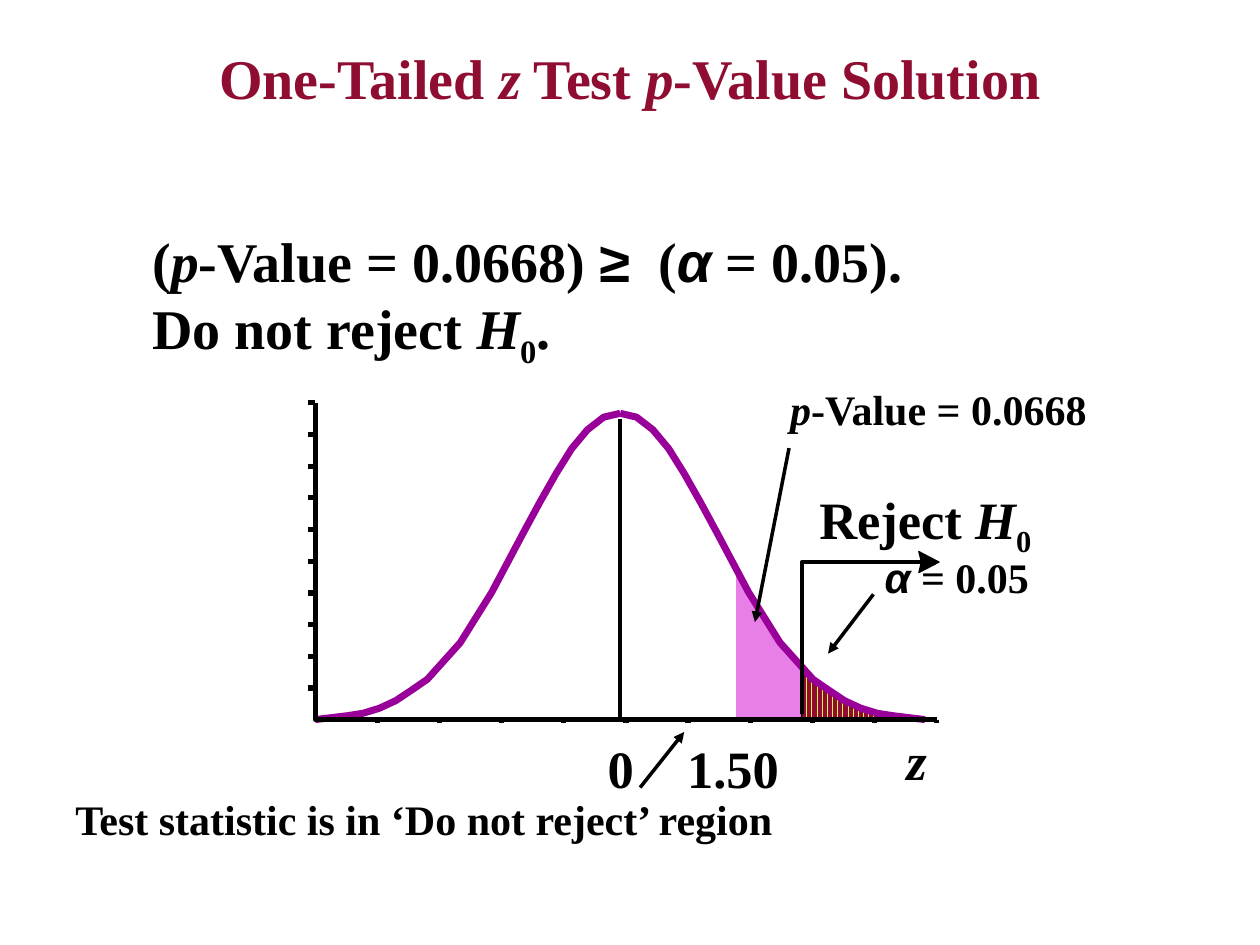
from lxml.etree import SubElement
from pptx import Presentation
from pptx.dml.color import RGBColor
from pptx.enum.dml import MSO_PATTERN
from pptx.enum.shapes import MSO_CONNECTOR
from pptx.enum.text import MSO_ANCHOR, MSO_AUTO_SIZE, PP_ALIGN
from pptx.oxml.ns import qn
from pptx.util import Pt

SERIF, SANS = "Times New Roman", "Arial"
BLACK, MAROON, PURPLE, PINK, YELLOW = "000000", "8E0D30", "990099", "D200D2", "E9F05A"
HALF_CURVE = [(174.2, 0), (156, 2.2), (146.9, 3.6), (137.5, 6.5), (128.2, 10.8),
              (119.5, 16.6), (110.2, 23), (91.4, 43.9), (73.4, 72.7), (55.4, 106.6),
              (46.1, 123.8), (36.7, 140.4), (27.7, 154.8), (18.7, 165.6),
              (9.4, 172.8), (0, 175)]
P_VALUE_AREA = [(66.2, 87.1), (66.2, 0.7), (148.3, 0.7), (138.2, 5), (128.9, 10.8),
                (119.5, 16.6), (110.9, 23.8), (103, 31), (95, 38.9), (87.8, 47.5),
                (81.4, 56.9), (75.6, 66.2), (70.6, 77)]
REJECT_AREA = [(103.7, 28), (103.7, 0.7), (149.8, 0.7), (121, 14.4)]


def color(value):
    """Return the RGB colour for a hex string."""
    return RGBColor.from_string(value)


def add_runs(p, runs, size, fill=BLACK):
    """Write (text, flags) runs; flags are i italic, a Arial, s subscript."""
    p.font.size, p.font.bold, p.font.name = Pt(size), True, SERIF
    p.font.color.rgb = color(fill)
    for text, flags in runs:
        if text == "\n":
            p.add_line_break()
            continue
        r = p.add_run()
        r.text = text
        if "i" in flags:
            r.font.italic = True
        if "a" in flags:
            r.font.name = SANS
        if "s" in flags:
            r.font._element.set("baseline", "-25000")


def add_text(s, box, runs, size, inset=True, before=0):
    """Add a text box, either wrapped with insets or tight around its text."""
    tf = s.shapes.add_textbox(*map(Pt, box)).text_frame
    tf.word_wrap = inset
    tf.auto_size = MSO_AUTO_SIZE.SHAPE_TO_FIT_TEXT
    if not inset:
        tf.margin_left = tf.margin_right = tf.margin_top = tf.margin_bottom = 0
    p = tf.paragraphs[0]
    p.space_before = Pt(before)
    add_runs(p, runs, size)


def add_line(s, start, end, width, arrow=False):
    """Add a straight black line with an optional arrowhead at its end."""
    line = s.shapes.add_connector(MSO_CONNECTOR.STRAIGHT, *map(Pt, (*start, *end)))
    line.line.color.rgb = color(BLACK)
    line.line.width = Pt(width)
    if arrow:
        SubElement(line.line._get_or_add_ln(), qn("a:tailEnd"), type="triangle")
    SubElement(line._element.spPr, qn("a:effectLst"))


def add_outline(s, points, stroke=None, width=0, close=False):
    """Add an unfilled polyline or polygon through the points."""
    first, *rest = [(Pt(x), Pt(y)) for x, y in points]
    builder = s.shapes.build_freeform(*first)
    builder.add_line_segments(rest, close=close)
    sp = builder.convert_to_shape()
    sp.shadow.inherit = False
    sp.fill.background()
    if stroke:
        sp.line.color.rgb = color(stroke)
        sp.line.width = Pt(width)
    else:
        sp.line.fill.background()
    return sp


def add_title(s, box):
    """Place and format the slide title."""
    title = s.shapes.title
    title.left, title.top, title.width, title.height = map(Pt, box)
    tf = title.text_frame
    tf.auto_size = MSO_AUTO_SIZE.NONE
    tf.vertical_anchor = MSO_ANCHOR.MIDDLE
    p = tf.paragraphs[0]
    p.alignment = PP_ALIGN.CENTER
    add_runs(p, [("One-Tailed ", ""), ("z", "i"), (" Test ", ""), ("p", "i"),
                 ("-Value Solution", "")], 32, MAROON)


def add_areas(s, place):
    """Shade the p-value and rejection areas under the curve."""
    area = add_outline(s, place(P_VALUE_AREA), close=True)
    area.fill.solid()
    area.fill.fore_color.rgb = color(PINK)
    srgb = area._element.spPr.find(".//" + qn("a:srgbClr"))
    SubElement(srgb, qn("a:alpha"), val="50000")
    area = add_outline(s, place(REJECT_AREA), BLACK, 0.75, close=True)
    area.fill.patterned()
    area.fill.pattern = MSO_PATTERN.DARK_VERTICAL
    area.fill.fore_color.rgb = color(MAROON)
    area.fill.back_color.rgb = color(YELLOW)


def add_axes(s, left, top, width, height, ticks=10):
    """Draw both axes with evenly spaced ticks."""
    base = top + height
    add_outline(s, [(left, top), (left, base), (left + width, base)], BLACK, 3)
    for i in range(ticks):
        y = top + i * height / ticks
        x = left + (i + 1) * width / ticks
        add_line(s, (left - 4.3, y), (left, y), 3)
        add_line(s, (x, base), (x, base + 2), 3)


def add_reject_marker(s, x, y, width, height):
    """Draw the critical value bracket and its arrowhead."""
    tip = x + width
    add_outline(s, [(x, y + height), (x, y), (tip - 10, y)], BLACK, 2.13)
    head = add_outline(s, [(tip - 11.5, y - 6), (tip, y), (tip - 11.5, y + 6),
                           (tip - 10, y)], BLACK, 0.75, close=True)
    head.fill.solid()
    head.fill.fore_color.rgb = color(BLACK)


def add_distribution(s, left, top, width, height):
    """Draw the normal curve with its areas, axes and labels."""
    center, base = left + 174.2, top + height

    def place(points, side=1):
        return [(center + side * dx, base - h) for dx, h in points]

    add_line(s, (center, base - 172), (center, base), 2.13)
    add_areas(s, place)
    for side in (1, -1):
        add_outline(s, place(HALF_CURVE, side), PURPLE, 4)
    add_axes(s, left, top, width, height)
    add_reject_marker(s, center + 103.7, base - 90, 78.5, 87)

    add_text(s, (center - 7.2, base + 9.4, 15, 36), [("0", "")], 30, inset=False)
    add_text(s, (center + 38.2, base + 9.4, 52.5, 36), [("1.50", "")], 30, inset=False)
    add_text(s, (center + 163.5, base + 5, 11.7, 36), [("z", "i")], 30, inset=False)
    add_text(s, (center + 113.8, top + 48.2, 122.4, 36),
             [("Reject ", ""), ("H", "i"), ("0", "s")], 30, inset=False)
    add_text(s, (center + 90, top - 14.4, 245.5, 36),
             [("p", "i"), ("-Value = 0.0668", "")], 24, before=3)
    add_text(s, (center + 144, top + 81.4, 137.5, 36),
             [("α", "ai"), (" = 0.05", "")], 24, before=3)
    add_line(s, (center + 96.5, top + 25.9), (center + 77, top + 125.3), 2, arrow=True)
    add_line(s, (center + 144.7, top + 109.4), (center + 118.8, top + 143.3), 2, arrow=True)


def add_conclusion(s, left, top, width, height):
    """State the test result above the curve and point to its region below."""
    add_text(s, (left + 43.9, top, width - 5.8, 85),
             [("(", ""), ("p", "i"), ("-Value = 0.0668) ", ""), ("≥", "a"), ("  (", ""),
              ("α", "ai"), (" = 0.05).", ""), ("\n", ""), ("Do not reject ", ""),
              ("H", "i"), ("0", "s"), (".", "")], 32, before=3.5)
    bottom = top + height
    add_text(s, (left, bottom - 36, width, 36),
             [("Test statistic is in ‘Do not reject’ region", "")], 24, before=3)
    add_line(s, (left + 329.8, bottom - 36), (left + 355, bottom - 67.7), 2, arrow=True)


def main():
    """Build and save the slide."""
    prs = Presentation()
    prs.slide_width, prs.slide_height = Pt(720), Pt(540)
    s = prs.slides.add_slide(prs.slide_layouts[5])
    add_title(s, (36, 21.6, 648, 44.6))
    add_distribution(s, 180.2, 230.2, 355, 181)
    add_conclusion(s, 36, 126, 563.8, 360)
    prs.save("out.pptx")


if __name__ == "__main__":
    main()
